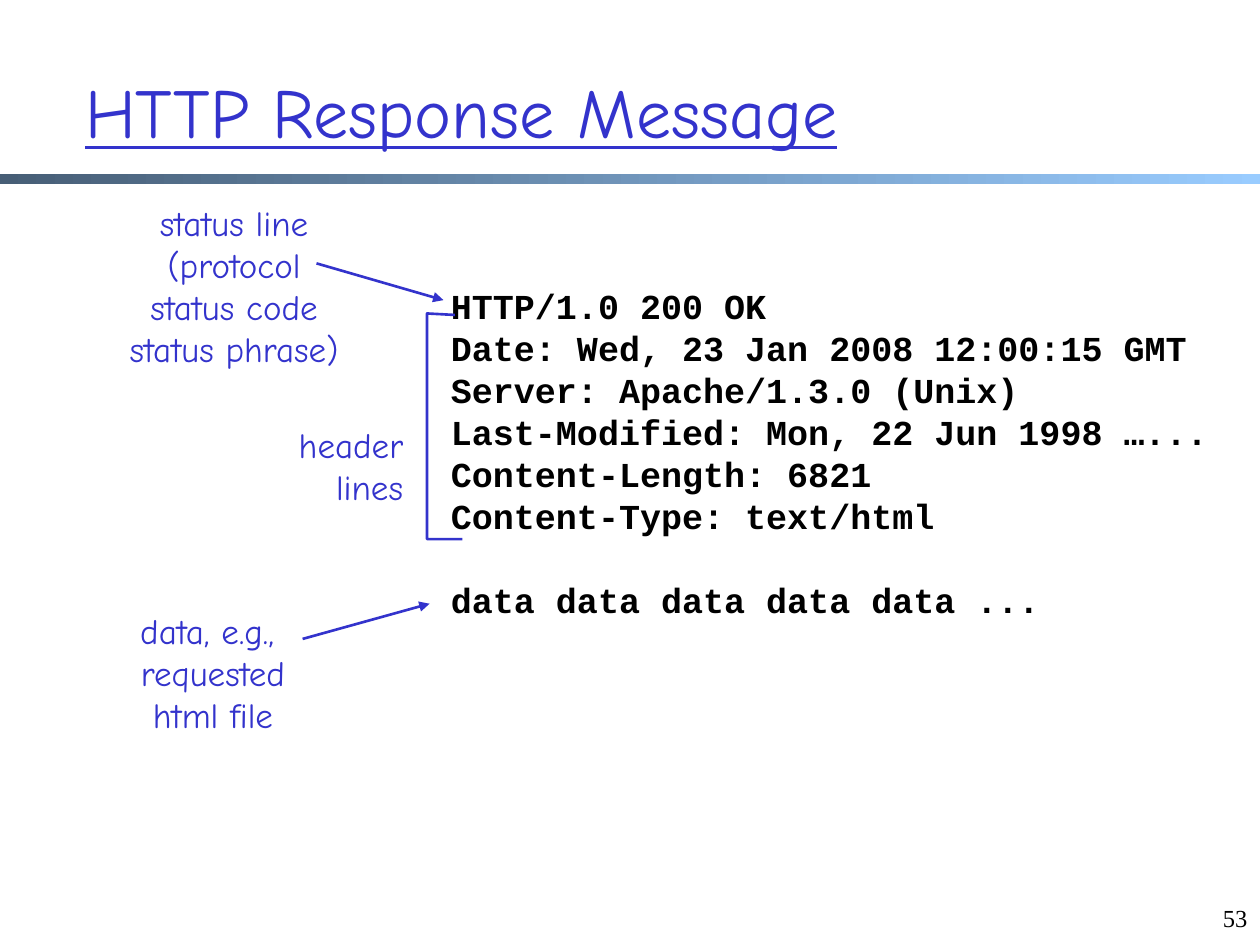
from dataclasses import dataclass

from lxml.etree import SubElement
from pptx import Presentation
from pptx.dml.color import RGBColor
from pptx.enum.shapes import MSO_CONNECTOR as CONN, MSO_SHAPE as SHAPE
from pptx.enum.text import MSO_ANCHOR as ANCHOR, PP_ALIGN as ALIGN
from pptx.oxml.ns import qn
from pptx.slide import Slide
from pptx.util import Cm, Pt

BLUE = RGBColor(0x33, 0x33, 0xCC)
BLACK = RGBColor(0x00, 0x00, 0x00)
SLATE = RGBColor(0x47, 0x5E, 0x76)
SKY = RGBColor(0x99, 0xCC, 0xFF)

RESPONSE = [
    "HTTP/1.0 200 OK",
    "Date: Wed, 23 Jan 2008 12:00:15 GMT",
    "Server: Apache/1.3.0 (Unix)",
    "Last-Modified: Mon, 22 Jun 1998 …...",
    "Content-Length: 6821",
    "Content-Type: text/html",
    "data data data data data ...",
]


@dataclass
class Page:
    slide: Slide
    label_font: str = "Comic Neue"
    code_font: str = "Courier New"
    number_font: str = "Times New Roman"
    size: int = 20
    pitch: int = 24
    stroke: float = 1.5

    def text(self, box, lines, font, size, color, align=ALIGN.LEFT,
             bold=False, underline=False, pitch=None, inset=0.13):
        sp = self.slide.shapes.add_textbox(*map(Cm, box))
        tf = sp.text_frame
        tf.word_wrap = False
        tf.margin_top = Cm(inset)
        for i, line in enumerate(lines):
            p = tf.add_paragraph() if i else tf.paragraphs[0]
            p.alignment = align
            if pitch:
                p.line_spacing = Pt(pitch)
            r = p.add_run()
            r.text = line
            r.font.name = font
            r.font.size = Pt(size)
            r.font.color.rgb = color
            r.font.bold = bold
            r.font.underline = underline
        return tf

    def title(self, box, text):
        tf = self.text(box, [text], self.label_font, 40, BLUE, underline=True)
        tf.vertical_anchor = ANCHOR.MIDDLE

    def number(self, box, text):
        self.text(box, [text], self.number_font, 14, BLACK, ALIGN.RIGHT)

    def label(self, box, lines, align=ALIGN.CENTER):
        self.text(box, lines, self.label_font, self.size, BLUE, align,
                  pitch=self.pitch, inset=0.16)

    def code(self, box, lines):
        tf = self.text(box, lines, self.code_font, self.size, BLACK,
                       bold=True, pitch=self.pitch, inset=0.22)
        tf.paragraphs[-1].space_before = Pt(self.pitch)

    def band(self, box):
        sp = self.slide.shapes.add_shape(SHAPE.RECTANGLE, *map(Cm, box))
        sp.shadow.inherit = False
        sp.line.fill.background()
        sp.fill.gradient()
        sp.fill.gradient_angle = 0
        for stop, color, place in zip(sp.fill.gradient_stops, (SLATE, SKY), (0, 1)):
            stop.color.rgb = color
            stop.position = place

    def arrow(self, start, end):
        line = self.slide.shapes.add_connector(
            CONN.STRAIGHT, *map(Cm, (*start, *end)))
        line.line.color.rgb = BLUE
        line.line.width = Pt(self.stroke)
        SubElement(line.line._get_or_add_ln(), qn("a:tailEnd"), type="triangle")
        SubElement(line._element.spPr, qn("a:effectLst"))

    def outline(self, points):
        first, *rest = [(Cm(x), Cm(y)) for x, y in points]
        builder = self.slide.shapes.build_freeform(*first)
        builder.add_line_segments(rest, close=False)
        sp = builder.convert_to_shape()
        sp.shadow.inherit = False
        sp.fill.background()
        sp.line.color.rgb = BLUE
        sp.line.width = Pt(self.stroke)


def main():
    prs = Presentation()
    prs.slide_width, prs.slide_height = Cm(25.4), Cm(19.05)
    page = Page(prs.slides.add_slide(prs.slide_layouts[6]))

    page.band((0, 3.51, 25.4, 0.2))
    page.number((24.13, 18.08, 1.27, 1.27), "53")
    page.title((1.47, 0.64, 21.59, 3.18), "HTTP Response Message")
    page.code((8.84, 5.51, 16.18, 7.04), RESPONSE)

    page.label((2.08, 3.91, 5.28, 3.63),
               ["status line", "(protocol", "status code", "status phrase)"])
    page.arrow((6.38, 5.31), (8.94, 6.05))

    page.outline([(9.17, 6.35), (8.61, 6.32), (8.61, 10.87), (9.32, 10.87)])
    page.label((5.56, 8.38, 2.82, 1.96), ["header", "lines"], ALIGN.RIGHT)

    page.arrow((6.1, 12.88), (8.66, 12.17))
    page.label((2.34, 12.12, 3.91, 2.79),
               ["data, e.g., ", "requested", "html file"])

    prs.save("out.pptx")


if __name__ == "__main__":
    main()
